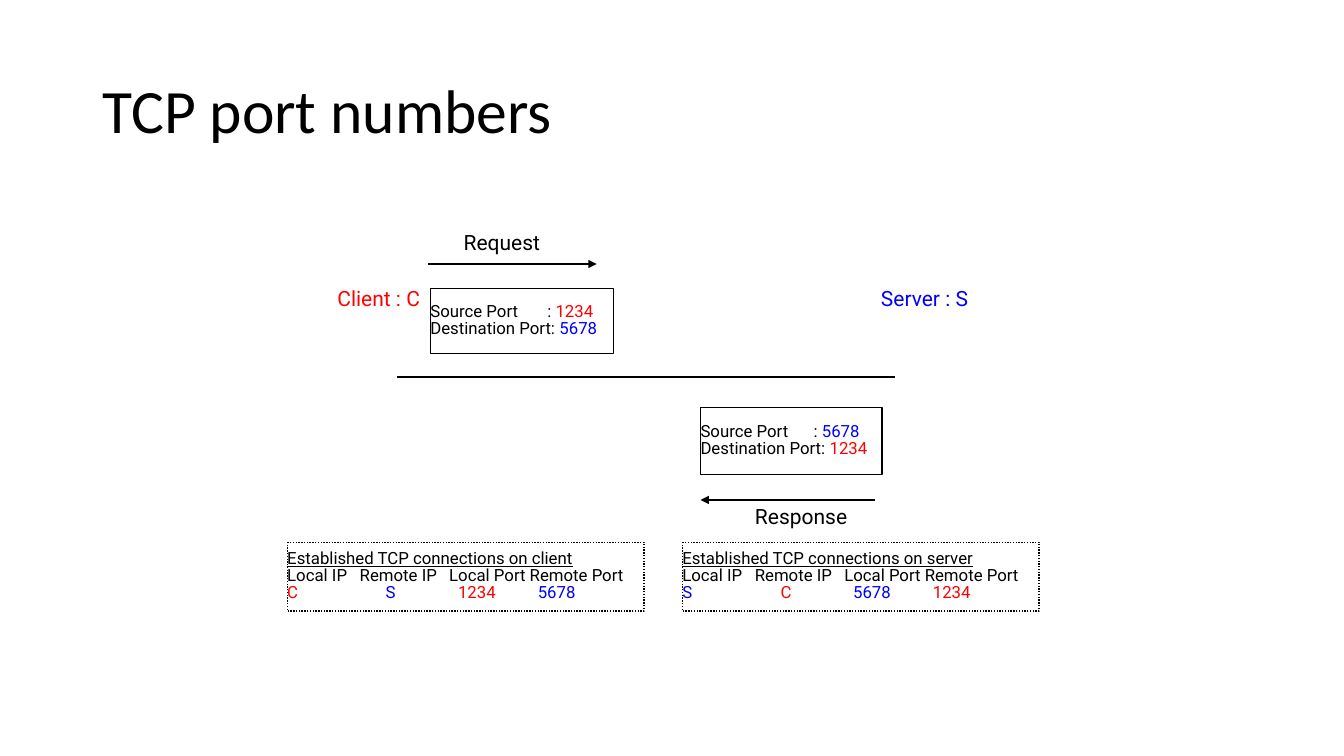
from pptx import Presentation
from pptx.dml.color import RGBColor
from pptx.enum.dml import MSO_LINE
from pptx.enum.shapes import MSO_CONNECTOR, MSO_SHAPE
from pptx.enum.text import MSO_ANCHOR, MSO_AUTO_SIZE, PP_ALIGN
from pptx.oxml.ns import qn
from pptx.util import Pt
from lxml.etree import SubElement

COLORS = {"ink": "000000", "client": "FF0000", "server": "0000FF"}
NO_INSETS = dict.fromkeys(
    ("margin_left", "margin_top", "margin_right", "margin_bottom"), 0)


def apply(target, values):
    for attribute, value in values.items():
        setattr(target, attribute, value)


class Diagram:
    """Draws the port number diagram on one slide in one style."""

    def __init__(self, slide):
        self.slide = slide
        self.shapes = slide.shapes
        self.face = "Roboto"

    def color(self, key):
        return RGBColor.from_string(COLORS[key])

    def typeset(self, paragraph, runs, size, face=None, spacing=0.84, tabs=()):
        if tabs:
            stops = SubElement(paragraph._p.get_or_add_pPr(), qn("a:tabLst"))
            for stop in tabs:
                SubElement(stops, qn("a:tab"), pos=str(Pt(stop)), algn="l")
        apply(paragraph, {"line_spacing": spacing, "alignment": PP_ALIGN.LEFT})
        for words, key, *underline in runs:
            run = paragraph.add_run()
            run.text = words
            apply(run.font, {"name": face or self.face, "size": Pt(size),
                             "bold": False, "underline": bool(underline)})
            run.font.color.rgb = self.color(key)

    def title(self, words):
        heading = self.shapes.title
        apply(heading, {"left": Pt(66), "top": Pt(28.8),
                        "width": Pt(828), "height": Pt(104.4)})
        apply(heading.text_frame, {"vertical_anchor": MSO_ANCHOR.MIDDLE,
                                   "auto_size": MSO_AUTO_SIZE.NONE})
        self.typeset(heading.text_frame.paragraphs[0], [(words, "ink")],
                     44, "Calibri", 0.9)

    def label(self, words, key, left, top, width):
        caption = self.shapes.add_textbox(Pt(left), Pt(top), Pt(width), Pt(16))
        frame = caption.text_frame
        apply(frame, {**NO_INSETS, "word_wrap": False,
                      "auto_size": MSO_AUTO_SIZE.SHAPE_TO_FIT_TEXT})
        self.typeset(frame.paragraphs[0], [(words, key)], 15)

    def line(self, start, end, y, arrow=False):
        stroke = self.shapes.add_connector(
            MSO_CONNECTOR.STRAIGHT, Pt(start), Pt(y), Pt(end), Pt(y))
        stroke.line.width = Pt(1)
        stroke.line.color.rgb = self.color("ink")
        properties = stroke._element.spPr
        if arrow:
            SubElement(properties.get_or_add_ln(), qn("a:tailEnd"),
                       type="triangle")
        SubElement(properties, qn("a:effectLst"))

    def box(self, left, top, width, height, rows, dash=MSO_LINE.SOLID):
        panel = self.shapes.add_shape(MSO_SHAPE.ROUNDED_RECTANGLE, Pt(left),
                                      Pt(top), Pt(width), Pt(height))
        panel.adjustments[0] = 0
        panel.shadow.inherit = False
        panel.fill.background()
        panel.line.color.rgb = self.color("ink")
        apply(panel.line, {"width": Pt(1), "dash_style": dash})
        frame = panel.text_frame
        apply(frame, {**NO_INSETS, "word_wrap": True,
                      "vertical_anchor": MSO_ANCHOR.MIDDLE})
        for number, (runs, tabs) in enumerate(rows):
            paragraph = frame.add_paragraph() if number else frame.paragraphs[0]
            self.typeset(paragraph, runs, 12, tabs=tabs)

    def segment(self, left, top, width, height, colon, source, destination):
        self.box(left, top, width, height, [
            ([("Source Port\t: ", "ink"), source], (colon,)),
            ([("Destination Port: ", "ink"), destination], ())])

    def connections(self, left, host, values):
        cells = [("\t" * bool(column) + words, key)
                 for column, (words, key) in enumerate(values)]
        self.box(left, 387.4, 254.9, 49, [
            ([(f"Established TCP connections on {host}", "ink", True)], ()),
            ([("Local IP\tRemote IP\tLocal Port Remote Port", "ink")],
             (51.8, 115.7)),
            (cells, (70.2, 122, 179))], MSO_LINE.ROUND_DOT)


def main():
    deck = Presentation()
    apply(deck, {"slide_width": Pt(960), "slide_height": Pt(540)})
    diagram = Diagram(deck.slides.add_slide(deck.slide_layouts[5]))
    client, server = ("C", "client"), ("S", "server")
    client_port, server_port = ("1234", "client"), ("5678", "server")

    diagram.title("TCP port numbers")
    diagram.label("Server : S", "server", 629.3, 206.6, 67)
    diagram.label("Client : C", "client", 241, 206.6, 62.6)
    diagram.line(283.7, 639.4, 269.3)

    diagram.label("Request", "ink", 331.2, 167, 56.9)
    diagram.line(306, 426.2, 188.6, arrow=True)
    diagram.segment(307.4, 205.9, 131, 46.8, 83.5, client_port, server_port)

    diagram.segment(500.4, 290.9, 129.6, 48.2, 80.8, server_port, client_port)
    diagram.line(625, 500.4, 357.1, arrow=True)
    diagram.label("Response", "ink", 539.3, 362.2, 68.4)

    diagram.connections(205.2, "client",
                        (client, server, client_port, server_port))
    diagram.connections(487.4, "server",
                        (server, client, server_port, client_port))
    deck.save("out.pptx")


if __name__ == "__main__":
    main()
